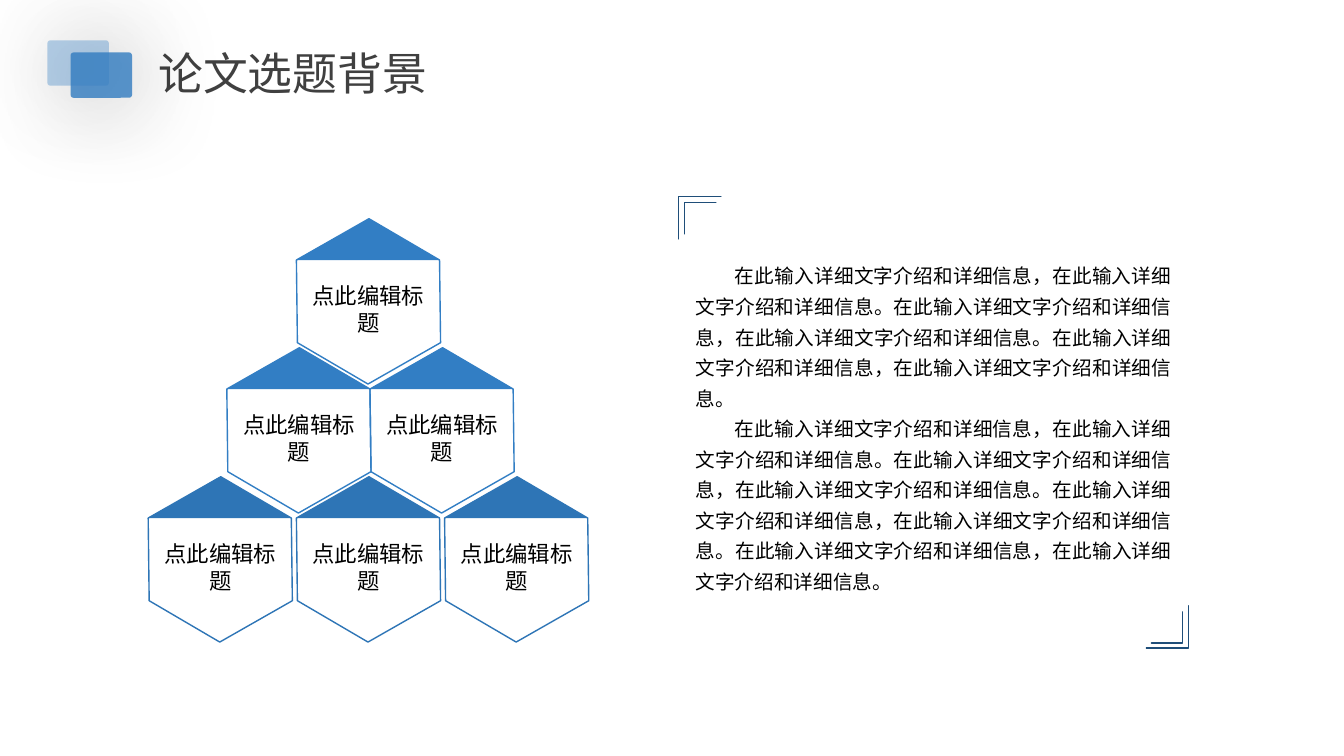
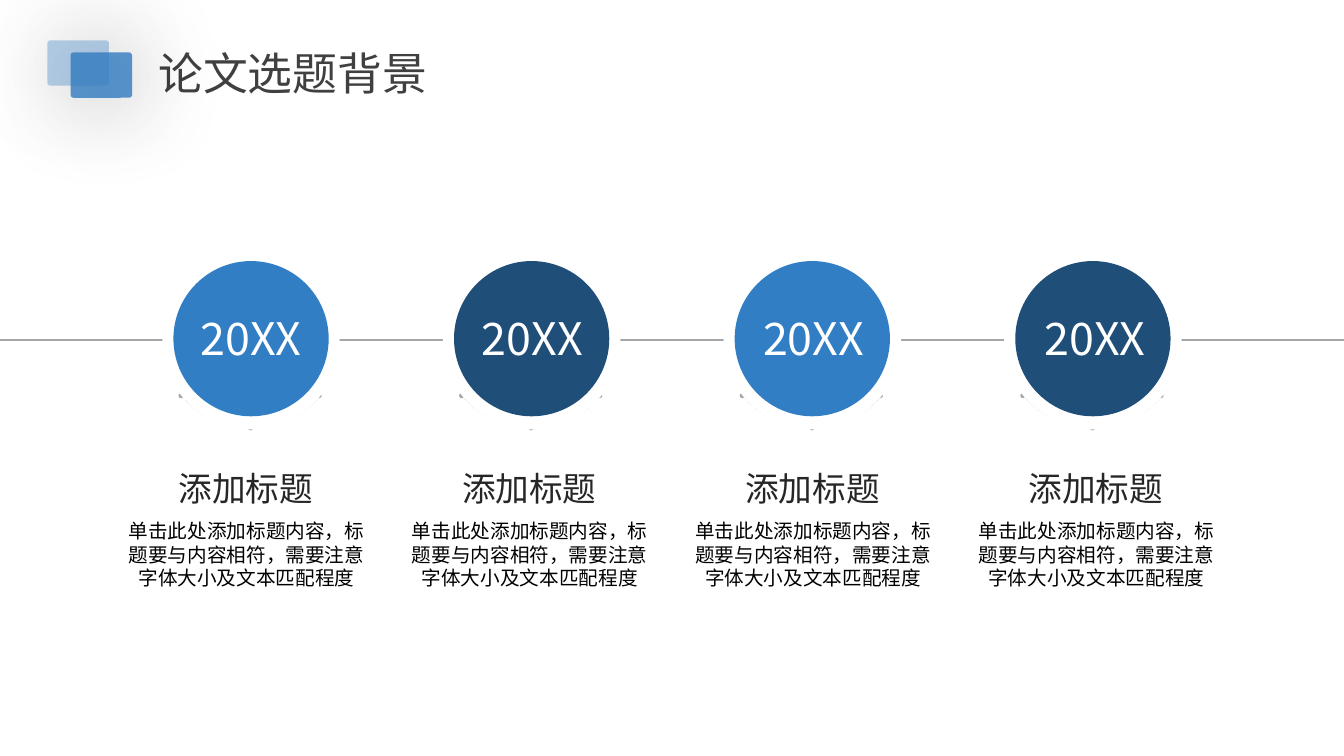
import pptx
import pptx.dml.color
import pptx.enum.shapes
import pptx.enum.text
import pptx.oxml
import pptx.oxml.ns
import pptx.util
from lxml import etree

Inches = pptx.util.Inches
Pt = pptx.util.Pt
SHAPE = pptx.enum.shapes.MSO_SHAPE
ALIGN = pptx.enum.text.PP_ALIGN
ANCHOR = pptx.enum.text.MSO_ANCHOR
qn = pptx.oxml.ns.qn

FONT = "Noto Sans CJK SC"
BLUE, MID_BLUE, NAVY = "327EC4", "2E75B6", "1F4E79"
BLACK, WHITE = "000000", "FFFFFF"
TITLE = "论文选题背景"
HEX_LABEL = "点此编辑标题"
STEP_TITLE = "添加标题"
STEP_BODY = "单击此处添加标题内容，标题要与内容相符，需要注意字体大小及文本匹配程度"
SENTENCE = "在此输入详细文字介绍和详细信息，在此输入详细文字介绍和详细信息。"
HEX_POINTS = [(0.72, 0), (1.42, 0.41), (1.43, 1.23), (0.71, 1.64), (0.01, 1.23), (0, 0.41)]
ROOF_POINTS = [(0.72, 0), (1.42, 0.41), (0, 0.41)]
HEX_ROWS = [(1, 2.94, 0, BLUE), (2, 2.25, 1.42, BLUE), (3, 1.47, 1.47, MID_BLUE)]
STEP_COLORS = [BLUE, NAVY, BLUE, NAVY]
DOTS = [(0.85, 1.73), (0.16, 1.41), (1.53, 1.41)]


def rgb(color):
    """Turn a hex string into a colour."""
    return pptx.dml.color.RGBColor.from_string(color)


def set_attrs(obj, values):
    """Set each attribute named in a dict."""
    for name, value in values.items():
        setattr(obj, name, value)


def style(sp, fill=None, line=None, width=1, alpha=None):
    """Set the fill and outline of a shape and drop its shadow."""
    sp.shadow.inherit = False
    if fill:
        sp.fill.solid()
        sp.fill.fore_color.rgb = rgb(fill)
    else:
        sp.fill.background()
    if alpha:
        clr = sp._element.spPr.find(".//" + qn("a:srgbClr"))
        etree.SubElement(clr, qn("a:alpha"), val=str(alpha * 1000))
    if line:
        sp.line.color.rgb = rgb(line)
        sp.line.width = Pt(width)
    else:
        sp.line.fill.background()
    return sp


def write(tf, paragraphs, size, color, align=ALIGN.CENTER, indent=0, spacing=None, **frame):
    """Fill a text frame with paragraphs of one format."""
    set_attrs(tf, {"word_wrap": True, **frame})
    for i, text in enumerate(paragraphs):
        p = tf.add_paragraph() if i else tf.paragraphs[0]
        set_attrs(p, {"alignment": align, "line_spacing": spacing})
        if indent:
            p._p.get_or_add_pPr().set("indent", str(Inches(indent)))
        r = p.add_run()
        r.text = text
        set_attrs(r.font, {"size": Pt(size), "name": FONT})
        r.font.color.rgb = rgb(color)
        r.font._element.find(qn("a:latin")).addnext(
            r.font._element.makeelement(qn("a:ea"), {"typeface": FONT}))


def add_shape(slide, kind, box, adj=(), **look):
    """Add a styled preset shape."""
    sp = slide.shapes.add_shape(kind, *map(Inches, box))
    for i, value in enumerate(adj):
        sp.adjustments[i] = value
    return style(sp, **look)


def add_text(slide, box, paragraphs, size, color, **look):
    """Add a text box."""
    sp = slide.shapes.add_textbox(*map(Inches, box))
    write(sp.text_frame, paragraphs, size, color, **look)


def add_polygon(slide, left, top, points, **look):
    """Add a closed outline whose points are offsets from left and top."""
    corners = [(Inches(left + x), Inches(top + y)) for x, y in points]
    fb = slide.shapes.build_freeform(*corners[0])
    fb.add_line_segments(corners[1:], close=True)
    return style(fb.convert_to_shape(), **look)


def add_soft_shadow(sp):
    """Give a shape a wide blurred shadow."""
    sp._element.spPr.find(qn("a:effectLst")).append(pptx.oxml.parse_xml(
        '<a:outerShdw xmlns:a="http://schemas.openxmlformats.org/drawingml/2006/main"'
        f' blurRad="{Pt(70)}" dist="{Pt(3)}" dir="2700000" algn="tl" rotWithShape="0">'
        '<a:srgbClr val="000000"><a:alpha val="40000"/></a:srgbClr></a:outerShdw>'))


def add_titled_slide(prs):
    """Add a slide with the shared title and its pair of plates."""
    slide = prs.slides.add_slide(prs.slide_layouts[5])
    title = slide.shapes.title
    box = zip(("left", "top", "width", "height"), map(Inches, (1.47, 0.4, 3.78, 0.64)))
    set_attrs(title, dict(box))
    write(title.text_frame, [TITLE], 32, "404040", align=ALIGN.JUSTIFY,
          vertical_anchor=ANCHOR.TOP, auto_size=pptx.enum.text.MSO_AUTO_SIZE.NONE)
    for left, top, alpha in [(0.7, 0.52, 80), (0.47, 0.4, 35)]:
        plate = add_shape(slide, SHAPE.ROUNDED_RECTANGLE, (left, top, 0.61, 0.45),
                          [0.066], fill=BLUE, alpha=alpha)
        add_soft_shadow(plate)
    return slide


def add_hexagon(slide, left, top, color):
    """Add a labelled hexagon with a filled roof."""
    sp = add_polygon(slide, left, top, HEX_POINTS, line=color)
    write(sp.text_frame, [HEX_LABEL], 16, BLACK, vertical_anchor=ANCHOR.MIDDLE,
          margin_top=Inches(0.2))
    add_polygon(slide, left, top, ROOF_POINTS, fill=color)


def add_corner(slide, left, top, size, rotation):
    """Add a thin corner bracket."""
    sp = add_shape(slide, SHAPE.HALF_FRAME, (left, top, size, size), [0, 0], line=NAVY)
    sp.rotation = rotation


def add_step(slide, i, color):
    """Add one dated circle of the timeline with its caption."""
    left = 1.61 + i * 8.35 / 3
    add_shape(slide, SHAPE.ARC, (left, 2.49, 1.76, 1.76), [23.997, 84.594],
              line="0D0D0D", width=0.5)
    for dx, dy in DOTS:
        add_shape(slide, SHAPE.OVAL, (left + dx, 2.49 + dy, 0.05, 0.05), fill="A7A7A7")
    add_shape(slide, SHAPE.OVAL, (left, 2.5, 1.76, 1.76), fill=WHITE)
    add_shape(slide, SHAPE.OVAL, (left + 0.11, 2.59, 1.54, 1.54), fill=color)
    add_text(slide, (1.72 + 2.79 * i, 3.03, 1.54, 0.64), ["20XX"], 32, WHITE)
    add_text(slide, (1.61 + 2.81 * i, 4.59, 1.66, 0.5), [STEP_TITLE], 24, "262626")
    add_text(slide, (1.15 + 2.81 * i, 5.1, 2.59, 0.81), [STEP_BODY], 14, BLACK)


def build_pyramid(prs):
    """Build the slide with the hexagon pyramid and framed text."""
    slide = add_titled_slide(prs)
    add_text(slide, (6.8, 2.01, 4.92, 4.42), [SENTENCE * 3, SENTENCE * 4], 14, BLACK,
             align=ALIGN.JUSTIFY, indent=0.39, spacing=1.3, vertical_anchor=ANCHOR.MIDDLE)
    for corner in [(6.73, 1.95, 0.42, 0), (6.79, 2.01, 0.31, 0),
                   (11.37, 6.01, 0.42, 180), (11.42, 6.07, 0.31, 180)]:
        add_corner(slide, *corner)
    for row, (count, left, pitch, color) in enumerate(HEX_ROWS):
        for col in range(count):
            add_hexagon(slide, left + pitch * col, 2.17 + 1.28 * row, color)


def build_timeline(prs):
    """Build the slide with the four-step timeline."""
    slide = add_titled_slide(prs)
    axis = slide.shapes.add_connector(pptx.enum.shapes.MSO_CONNECTOR.STRAIGHT,
                                      0, Inches(3.37), prs.slide_width, Inches(3.37))
    axis.line.color.rgb = rgb("A6A6A6")
    axis.line.width = Pt(1.25)
    etree.SubElement(axis._element.spPr, qn("a:effectLst"))
    for i, color in enumerate(STEP_COLORS):
        add_step(slide, i, color)


def main():
    """Build and save the presentation."""
    prs = pptx.Presentation()
    set_attrs(prs, {"slide_width": Inches(13.33), "slide_height": Inches(7.5)})
    build_pyramid(prs)
    build_timeline(prs)
    prs.save("out.pptx")


if __name__ == "__main__":
    main()
